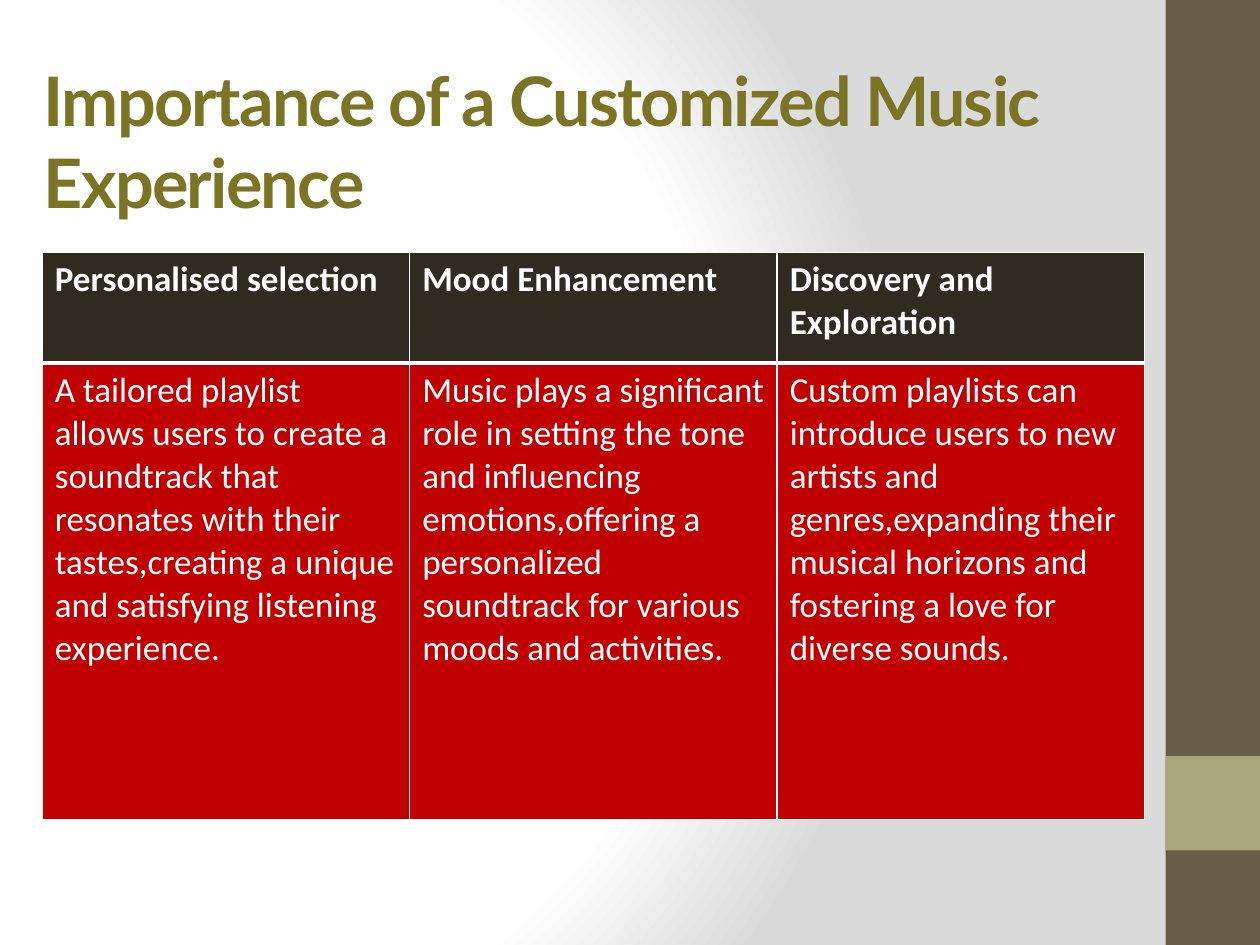
from dataclasses import dataclass

from pptx import Presentation
from pptx.dml.color import RGBColor
from pptx.enum.shapes import MSO_SHAPE as Shape
from pptx.enum.text import MSO_ANCHOR as Anchor, PP_ALIGN as Align
from pptx.oxml import parse_xml
from pptx.oxml.ns import nsdecls
from pptx.util import Inches, Pt


@dataclass(frozen=True)
class Theme:
    paper: str = "FFFFFF"
    shade: str = "DADADA"
    sidebar: str = "675E47"
    accent: str = "A9A57C"
    title: str = "7A7425"
    header: str = "2F2B20"
    body: str = "C00000"
    cell_text: str = "FFFFFF"
    title_font: str = "Lato"
    table_font: str = "Calibri"
    title_size: int = 39
    table_size: int = 20
    thin_rule: int = 1
    thick_rule: int = 3


THEME = Theme()
WIDTH, HEIGHT = Inches(10), Inches(7.5)
SIDEBAR_LEFT, SIDEBAR_WIDTH = 0.925, 0.075

TITLE = "Importance of a Customized Music Experience"
BENEFITS = {
    "Personalised selection":
        "A tailored playlist allows users to create a soundtrack that resonates "
        "with their tastes,creating a unique and satisfying listening experience.",
    "Mood Enhancement":
        "Music plays a significant role in setting the tone and influencing "
        "emotions,offering a personalized soundtrack for various moods and activities.",
    "Discovery and Exploration":
        "Custom playlists can introduce users to new artists and genres,expanding "
        "their musical horizons and fostering a love for diverse sounds.",
}


def area(left, top, width, height):
    """Turn shares of the slide into lengths."""
    return (int(left * WIDTH), int(top * HEIGHT),
            int(width * WIDTH), int(height * HEIGHT))


def paint_background(slide):
    stops = "".join(
        f'<a:gs pos="{share * 1000}"><a:srgbClr val="{color}"/></a:gs>'
        for share, color in ((0, THEME.paper), (75, THEME.paper), (100, THEME.shade)))
    slide.element.cSld.insert(0, parse_xml(
        f'<p:bg {nsdecls("p", "a")}><p:bgPr><a:gradFill rotWithShape="1">'
        f'<a:gsLst>{stops}</a:gsLst><a:path path="circle">'
        '<a:fillToRect l="20000" t="50000" r="100000" b="50000"/></a:path>'
        '</a:gradFill><a:effectLst/></p:bgPr></p:bg>'))


def add_band(slide, top, height, color):
    band = slide.shapes.add_shape(
        Shape.RECTANGLE, *area(SIDEBAR_LEFT, top, SIDEBAR_WIDTH, height))
    band.shadow.inherit = False
    band.fill.solid()
    band.fill.fore_color.rgb = RGBColor.from_string(color)
    band.line.fill.background()


def add_run(paragraph, text, font, size, color, bold):
    run = paragraph.add_run()
    run.text = text
    run.font.name = font
    run.font.size = Pt(size)
    run.font.bold = bold
    run.font.color.rgb = RGBColor.from_string(color)
    return run


def add_title(slide):
    frame = slide.shapes.add_textbox(*area(0.025, 0.09, 0.867, 0.204)).text_frame
    frame.word_wrap = True
    frame.vertical_anchor = Anchor.MIDDLE
    frame.margin_bottom = Inches(0.7)
    paragraph = frame.paragraphs[0]
    paragraph.alignment = Align.LEFT
    run = add_run(paragraph, TITLE, THEME.title_font, THEME.title_size,
                  THEME.title, True)
    run.font._element.set("spc", "-100")


def rule_cell(cell, top, bottom):
    """Draw the four borders, with top and bottom widths in points."""
    properties = cell._tc.get_or_add_tcPr()
    widths = {"L": THEME.thin_rule, "R": THEME.thin_rule, "T": top, "B": bottom}
    for side, width in widths.items():
        properties.append(parse_xml(
            f'<a:ln{side} {nsdecls("a")} w="{Pt(width)}"><a:solidFill>'
            f'<a:srgbClr val="{THEME.paper}"/></a:solidFill></a:ln{side}>'))


def fill_cell(cell, text, color, bold, top, bottom):
    rule_cell(cell, top, bottom)
    cell.fill.solid()
    cell.fill.fore_color.rgb = RGBColor.from_string(color)
    add_run(cell.text_frame.paragraphs[0], text, THEME.table_font,
            THEME.table_size, THEME.cell_text, bold)


def add_benefits(slide):
    left, top, width, height = area(0.0335, 0.267, 0.875, 0.6)
    table = slide.shapes.add_table(
        2, len(BENEFITS), left, top, width, height).table
    table.rows[0].height = Inches(0.88)
    table.rows[1].height = height - Inches(0.88)
    thin, thick = THEME.thin_rule, THEME.thick_rule
    for column, (benefit, explanation) in enumerate(BENEFITS.items()):
        table.columns[column].width = width // len(BENEFITS)
        fill_cell(table.cell(0, column), benefit, THEME.header, True, thin, thick)
        fill_cell(table.cell(1, column), explanation, THEME.body, False, thick, thin)


def main():
    deck = Presentation()
    deck.slide_width, deck.slide_height = WIDTH, HEIGHT
    slide = deck.slides.add_slide(deck.slide_layouts[6])
    paint_background(slide)
    add_band(slide, 0, 1, THEME.sidebar)
    add_band(slide, 0.8, 0.1, THEME.accent)
    add_title(slide)
    add_benefits(slide)
    deck.save("out.pptx")


if __name__ == "__main__":
    main()
